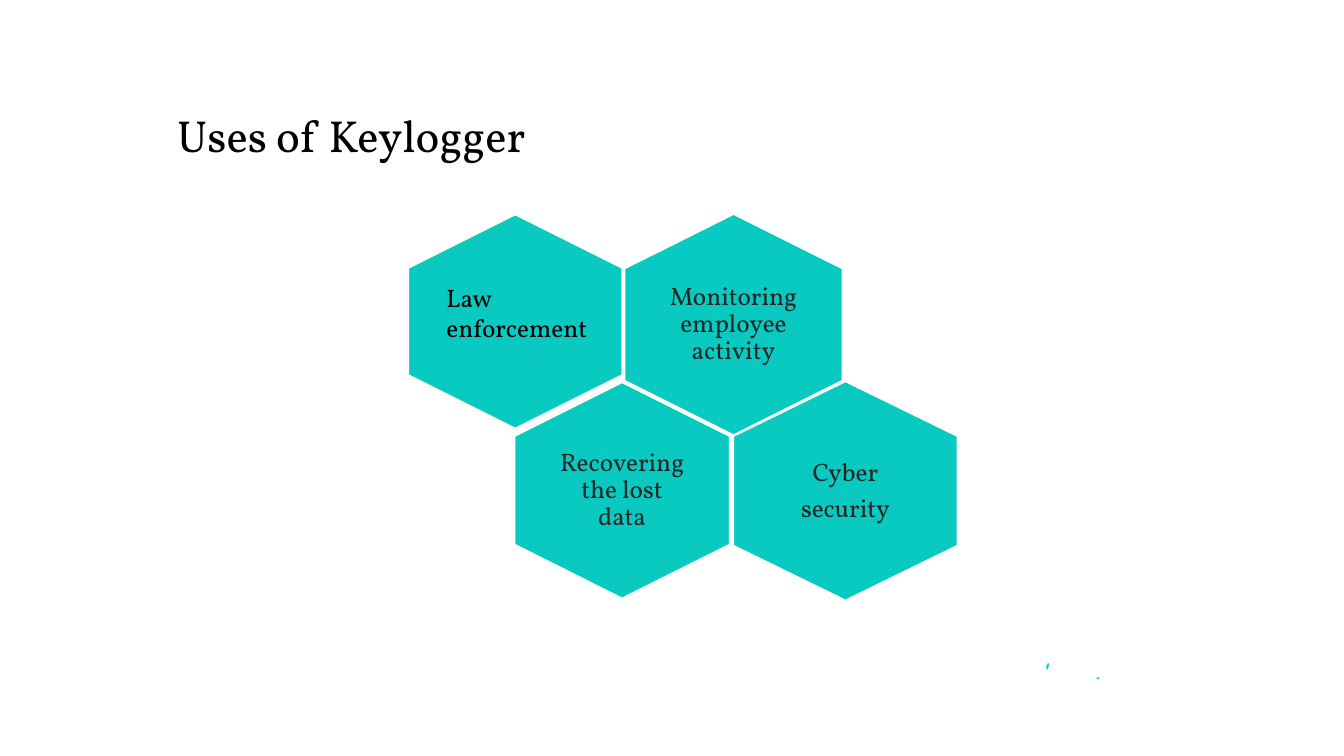
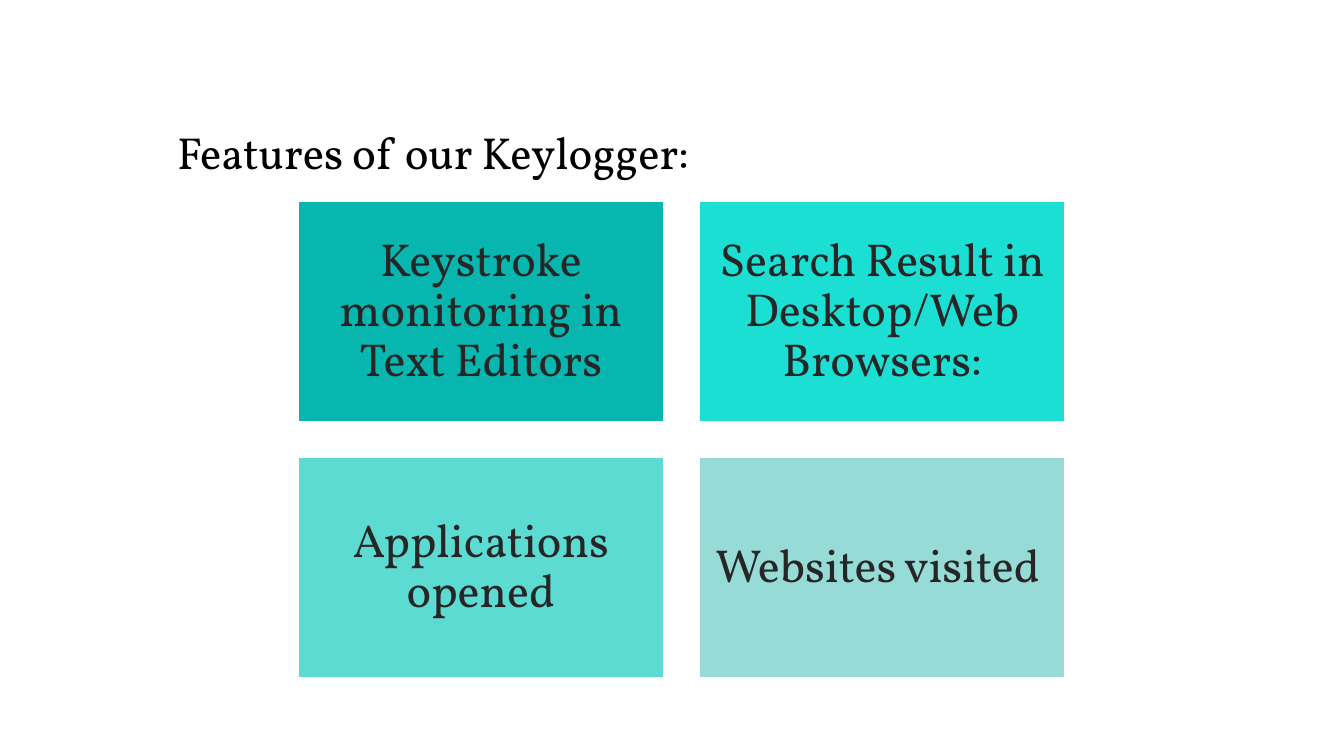
from dataclasses import dataclass

import pptx
import pptx.util
from pptx.dml.color import RGBColor
from pptx.enum.shapes import MSO_SHAPE
from pptx.enum.text import MSO_ANCHOR, PP_ALIGN

PX = 9144  # 100 px to the inch
SLIDE_SIZE = (1333, 750)


@dataclass(frozen=True)
class Theme:
    font: str = "Vollkorn"
    black: str = "000000"
    ink: str = "262626"
    teal: str = "08CAC1"
    outline: str = "FFFFFF"
    title_size: int = 32
    hexagon_size: int = 18
    card_size: int = 33
    line_spacing: float = 0.9
    space_after: float = 0.35  # share of the type size


THEME = Theme()

USES_TITLE = "Uses of Keylogger"
USES_TITLE_HEIGHT = 108
# left, top, width, height before the quarter turn; paragraphs
HEXAGONS = [
    ((618, 214, 219, 216), ["Monitoring employee activity"]),
    ((405, 213, 212, 212), []),
    ((510, 380, 214, 213), ["Recovering the lost data"]),
    ((730, 376, 217, 222), ["Cyber", "security"]),
]
HEXAGON_TEXT_INSET = 36
LABEL = ((433, 275, 167, 71), ["Law enforcement"])
SPECKS = [((1087, 671, 4, 4), 90), ((1037, 657, 4, 8), 192.3)]

FEATURES_TITLE = "Features of our Keylogger:"
FEATURES_TITLE_HEIGHT = 125
CARDS = [
    ("Keystroke monitoring in Text Editors", "07B7AF"),
    ("Search Result in Desktop/Web Browsers:", "1CDFD4"),
    ("Applications opened", "5CDBD2"),
    ("Websites visited ", "97DBD6"),
]
CARD_ORIGIN = (296, 200)
CARD_SIZE = (362, 218)
CARD_GAP = 36
CARD_COLUMNS = 2


def emu(frame):
    return [pptx.util.Emu(value * PX) for value in frame]


def write(shape, lines, size, color, anchor=MSO_ANCHOR.TOP, inset=None,
          align=PP_ALIGN.LEFT, spacing=1.0, after=0):
    text = shape.text_frame
    text.word_wrap = True
    text.vertical_anchor = anchor
    if inset is not None:
        text.margin_left = text.margin_right = inset * PX
        text.margin_top = text.margin_bottom = inset * PX
    for index, line in enumerate(lines):
        para = text.add_paragraph() if index else text.paragraphs[0]
        para.text = line
        para.alignment = align
        para.line_spacing = spacing
        para.space_after = pptx.util.Pt(after)
        para.font.name = THEME.font
        para.font.size = pptx.util.Pt(size)
        para.font.color.rgb = RGBColor.from_string(color)


def write_centred(shape, lines, size, inset):
    write(shape, lines, size, THEME.ink, MSO_ANCHOR.MIDDLE, inset,
          PP_ALIGN.CENTER, THEME.line_spacing, size * THEME.space_after)


def add_outlined(page, kind, frame, fill, rotation=0):
    shape = page.shapes.add_shape(kind, *emu(frame))
    shape.shadow.inherit = False
    shape.rotation = rotation
    shape.fill.solid()
    shape.fill.fore_color.rgb = RGBColor.from_string(fill)
    shape.line.color.rgb = RGBColor.from_string(THEME.outline)
    shape.line.width = pptx.util.Pt(1)
    return shape


def add_page(deck, title, title_height):
    page = deck.slides.add_slide(deck.slide_layouts[6])
    box = page.shapes.add_textbox(*emu((166, 58, 1050, title_height)))
    write(box, [title], THEME.title_size, THEME.black, MSO_ANCHOR.BOTTOM,
          spacing=THEME.line_spacing)
    return page


def build_uses(deck):
    page = add_page(deck, USES_TITLE, USES_TITLE_HEIGHT)
    for frame, lines in HEXAGONS:
        add_outlined(page, MSO_SHAPE.HEXAGON, frame, THEME.teal, 90)
        if lines:
            left, top, width, height = frame
            inset = HEXAGON_TEXT_INSET
            box = page.shapes.add_textbox(*emu((
                left + inset, top + inset,
                width - 2 * inset, height - 2 * inset)))
            write_centred(box, lines, THEME.hexagon_size, 7)
    for frame, rotation in SPECKS:
        add_outlined(page, MSO_SHAPE.HEXAGON, frame, THEME.teal, rotation)
    frame, lines = LABEL
    label = page.shapes.add_textbox(*emu(frame))
    write(label, lines, THEME.hexagon_size, THEME.black)


def build_features(deck):
    page = add_page(deck, FEATURES_TITLE, FEATURES_TITLE_HEIGHT)
    left, top = CARD_ORIGIN
    width, height = CARD_SIZE
    for index, (caption, fill) in enumerate(CARDS):
        row, column = divmod(index, CARD_COLUMNS)
        frame = (left + column * (width + CARD_GAP),
                 top + row * (height + CARD_GAP), width, height)
        card = add_outlined(page, MSO_SHAPE.RECTANGLE, frame, fill)
        write_centred(card, [caption], THEME.card_size, 14)


def main():
    deck = pptx.Presentation()
    deck.slide_width, deck.slide_height = emu(SLIDE_SIZE)
    build_uses(deck)
    build_features(deck)
    deck.save("out.pptx")


if __name__ == "__main__":
    main()
